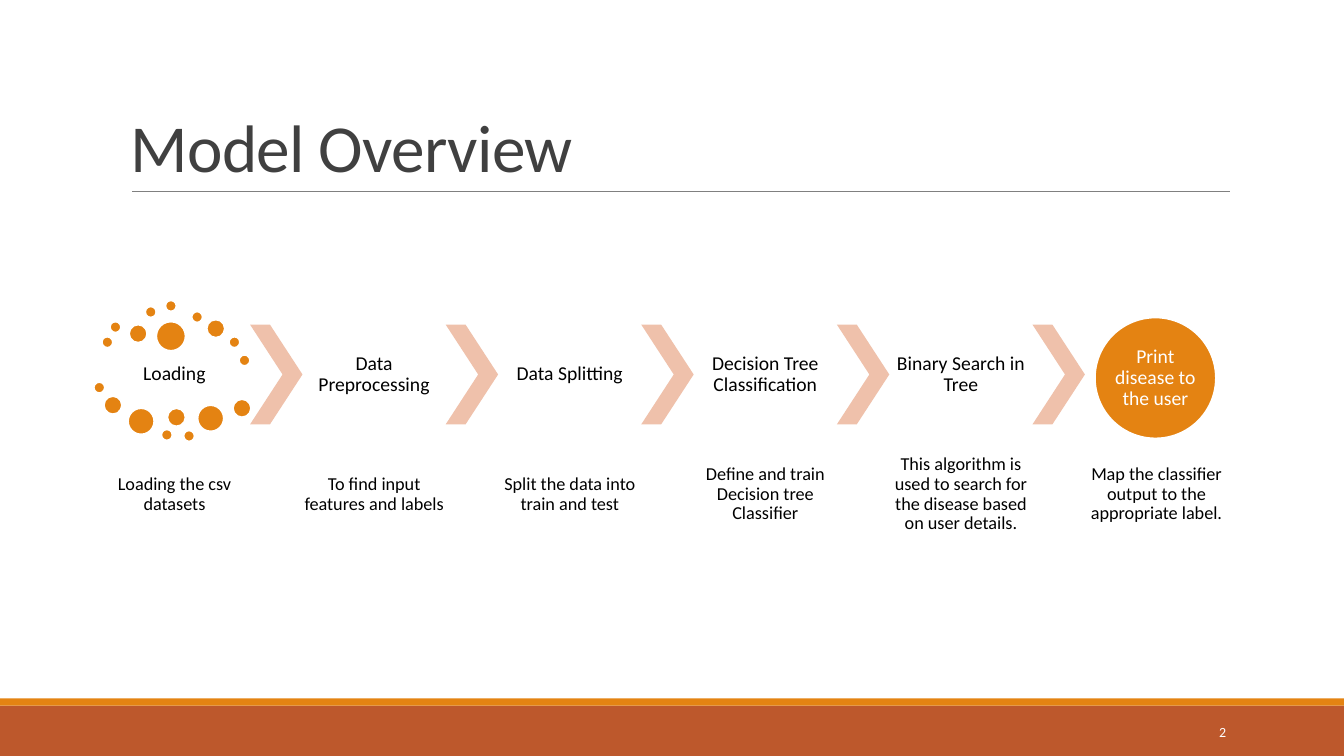
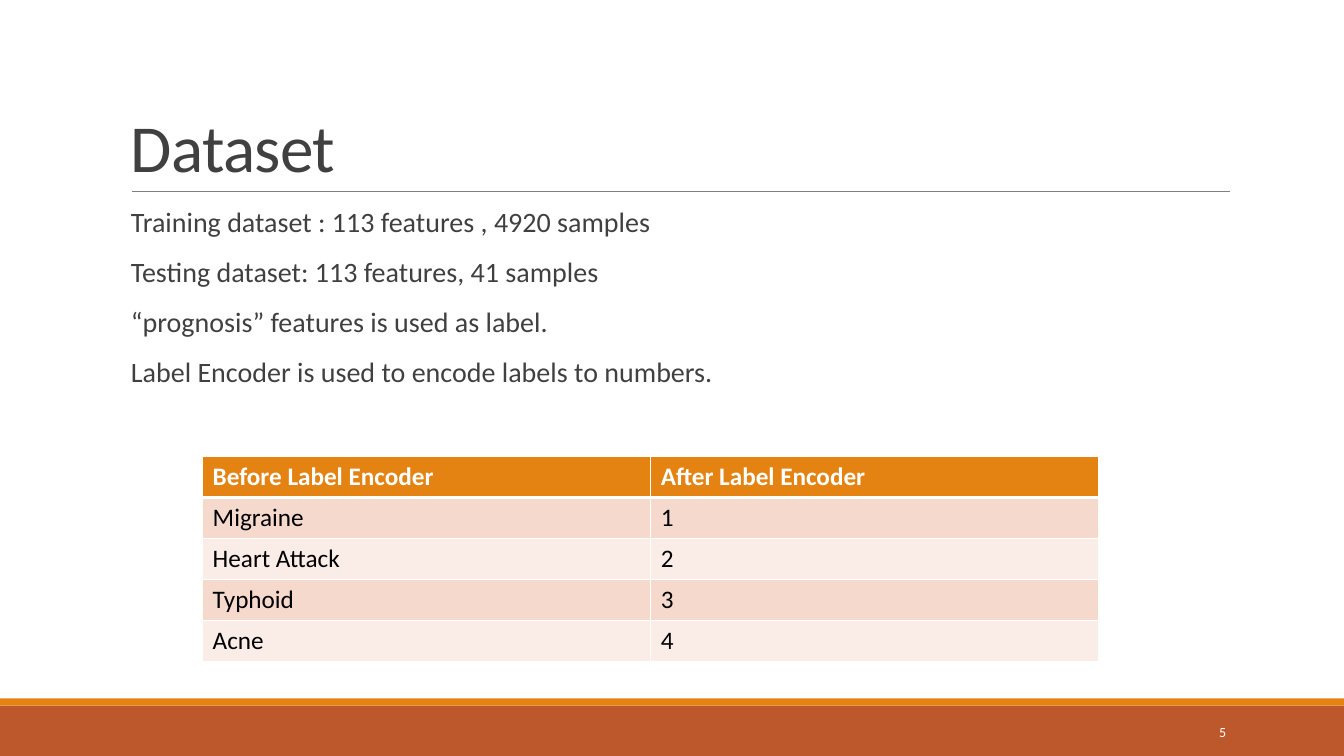
import pptx
import pptx.util
import pptx.dml.color
import pptx.enum.shapes
import pptx.enum.text
import pptx.oxml
import pptx.oxml.ns
import lxml.etree

Inches = pptx.util.Inches
Pt = pptx.util.Pt
SHAPES = pptx.enum.shapes.MSO_SHAPE
ALIGN = pptx.enum.text.PP_ALIGN
ANCHOR = pptx.enum.text.MSO_ANCHOR

FONT = "Calibri"
ORANGE, RUST, PEACH = "E48312", "BD582C", "EFC1AB"
DARK, GREY, BLACK, WHITE = "404040", "808080", "000000", "FFFFFF"
ROW_FILLS = ("F5D9CC", "FAEDE7")

STEPS = [
    ("Loading", "Loading the csv datasets"),
    ("Data Preprocessing", "To find input features and labels"),
    ("Data Splitting", "Split the data into train and test"),
    ("Decision Tree Classification", "Define and train Decision tree Classifier"),
    ("Binary Search in Tree",
     "This algorithm is used to search for the disease based on user details."),
    ("Print disease to the user", "Map the classifier output to the appropriate label."),
]
STEP_PITCH, STEP_WIDTH, CHEVRON_WIDTH = 1.94, 1.42, 0.52
STEP_LEFTS = [1.02] + [3 + STEP_PITCH * i for i in range(len(STEPS) - 1)]

DOTS = {
    0.11: [(1.01, 3.34), (1.09, 3.19), (1.44, 3.04), (1.64, 2.98), (1.9, 3.09),
           (2.27, 3.34), (2.37, 3.52), (0.93, 3.79), (1.6, 4.26), (1.82, 4.27)],
    0.18: [(1.28, 3.22), (2.05, 3.17), (1.03, 3.93), (1.66, 4.05), (2.31, 3.96)],
    0.26: [(1.27, 4.05), (1.96, 4.02)],
    0.29: [(1.55, 3.19)],
}

DATASET_FACTS = [
    "Training dataset : 113 features , 4920 samples",
    "Testing dataset: 113 features, 41 samples",
    "\u201cprognosis\u201d features is used as label.",
    "Label Encoder is used to encode labels to numbers.",
]
ENCODING = [
    ("Before Label Encoder", "After Label Encoder"),
    ("Migraine", "1"),
    ("Heart Attack", "2"),
    ("Typhoid", "3"),
    ("Acne", "4"),
]


def color(value):
    return pptx.dml.color.RGBColor.from_string(value)


def lengths(*values):
    return [Inches(value) for value in values]


def write(frame, lines, size, ink, align=ALIGN.LEFT, spacing=1.0, before=0, after=0,
          bold=False, tracking=None):
    for index, line in enumerate(lines):
        para = frame.add_paragraph() if index else frame.paragraphs[0]
        para.alignment = align
        para.line_spacing = spacing
        para.space_before, para.space_after = Pt(before), Pt(after)
        span = para.add_run()
        span.text = line
        span.font.name, span.font.size, span.font.bold = FONT, Pt(size), bold
        span.font.color.rgb = color(ink)
        if tracking is not None:
            span.font._element.set("spc", str(round(tracking * 100)))


def set_frame(frame, anchor, margins):
    frame.word_wrap = True
    frame.vertical_anchor = anchor
    (frame.margin_left, frame.margin_top,
     frame.margin_right, frame.margin_bottom) = lengths(*margins)


def add_text(page, place, lines, size, ink, anchor=ANCHOR.MIDDLE,
             margins=(0.1, 0.05, 0.1, 0.05), **style):
    box = page.shapes.add_textbox(*lengths(*place))
    set_frame(box.text_frame, anchor, margins)
    write(box.text_frame, lines, size, ink, **style)


def add_figure(page, kind, place, fill, outline=None):
    shape = page.shapes.add_shape(kind, *lengths(*place))
    shape.shadow.inherit = False
    shape.fill.solid()
    shape.fill.fore_color.rgb = color(fill)
    if outline:
        shape.line.color.rgb = color(outline)
        shape.line.width = Pt(1.25)
    else:
        shape.line.fill.background()
    return shape


def add_rule(page, start, end):
    rule = page.shapes.add_connector(
        pptx.enum.shapes.MSO_CONNECTOR.STRAIGHT, *lengths(*start, *end))
    rule.line.color.rgb = color(GREY)
    rule.line.width = Pt(0.5)
    lxml.etree.SubElement(rule._element.spPr, pptx.oxml.ns.qn("a:effectLst"))


def add_page(deck, title, number):
    page = deck.slides.add_slide(deck.slide_layouts[6])
    add_figure(page, SHAPES.RECTANGLE, (0, 7, 13.33, 0.5), RUST)
    add_figure(page, SHAPES.RECTANGLE, (0, 6.93, 13.33, 0.07), ORANGE)
    add_rule(page, (1.31, 1.9), (12.2, 1.9))
    add_text(page, (1.2, 0.31, 11, 1.59), [title], 48, DARK, ANCHOR.BOTTOM,
             spacing=0.85, tracking=-0.5)
    add_text(page, (10.83, 7.06, 1.43, 0.4), [number], 10, WHITE, align=ALIGN.RIGHT)
    return page


def add_step_text(page, place, text, size):
    add_text(page, place, [text], size, BLACK, margins=(0.02,) * 4,
             align=ALIGN.CENTER, spacing=0.9)


def add_result_circle(page, place, text):
    circle = add_figure(page, SHAPES.OVAL, place, ORANGE, WHITE)
    set_frame(circle.text_frame, ANCHOR.MIDDLE, (0,) * 4)
    write(circle.text_frame, [text], 14, WHITE, align=ALIGN.CENTER, spacing=0.9)


def add_process(page):
    for size, corners in DOTS.items():
        for left, top in corners:
            add_figure(page, SHAPES.OVAL, (left, top, size, size), ORANGE, WHITE)
    last = len(STEPS) - 1
    for index, (left, (name, detail)) in enumerate(zip(STEP_LEFTS, STEPS)):
        if index:
            chevron = add_figure(page, SHAPES.CHEVRON,
                                 (left - CHEVRON_WIDTH, 3.22, CHEVRON_WIDTH, 0.99), PEACH)
            chevron.adjustments[0] = 0.62
        if index == last:
            add_result_circle(page, (left + 0.1, 3.15, 1.2, 1.2), name)
        else:
            add_step_text(page, (left, 3.22, STEP_WIDTH, 0.99), name, 14)
        add_step_text(page, (left, 4.47, STEP_WIDTH, 0.87), detail, 13)


def set_borders(cell, bottom):
    properties = cell._tc.get_or_add_tcPr()
    for side, width in (("L", 1), ("R", 1), ("T", 1), ("B", bottom)):
        properties.append(pptx.oxml.parse_xml(
            f'<a:ln{side} {pptx.oxml.ns.nsdecls("a")} w="{Pt(width)}">'
            f'<a:solidFill><a:srgbClr val="{WHITE}"/></a:solidFill></a:ln{side}>'))


def add_encoding_table(page, place, rows):
    frame = page.shapes.add_table(len(rows), len(rows[0]), *lengths(*place))
    for row_index, row in enumerate(rows):
        header = row_index == 0
        for column_index, text in enumerate(row):
            cell = frame.table.cell(row_index, column_index)
            set_borders(cell, 3 if header else 1)
            cell.fill.solid()
            cell.fill.fore_color.rgb = color(
                ORANGE if header else ROW_FILLS[(row_index - 1) % 2])
            write(cell.text_frame, [text], 18, WHITE if header else BLACK, bold=header)


def main():
    deck = pptx.Presentation()
    deck.slide_width, deck.slide_height = lengths(13.33, 7.5)

    overview = add_page(deck, "Model Overview", "2")
    add_process(overview)

    dataset = add_page(deck, "Dataset", "5")
    add_text(dataset, (1.2, 2.02, 11, 4.4), DATASET_FACTS, 20, DARK, ANCHOR.TOP,
             margins=(0.1, 0.05, 0, 0.05), spacing=0.9, before=12, after=2)
    add_encoding_table(dataset, (2.01, 4.53, 8.89, 2.03), ENCODING)

    deck.save("out.pptx")


main()
